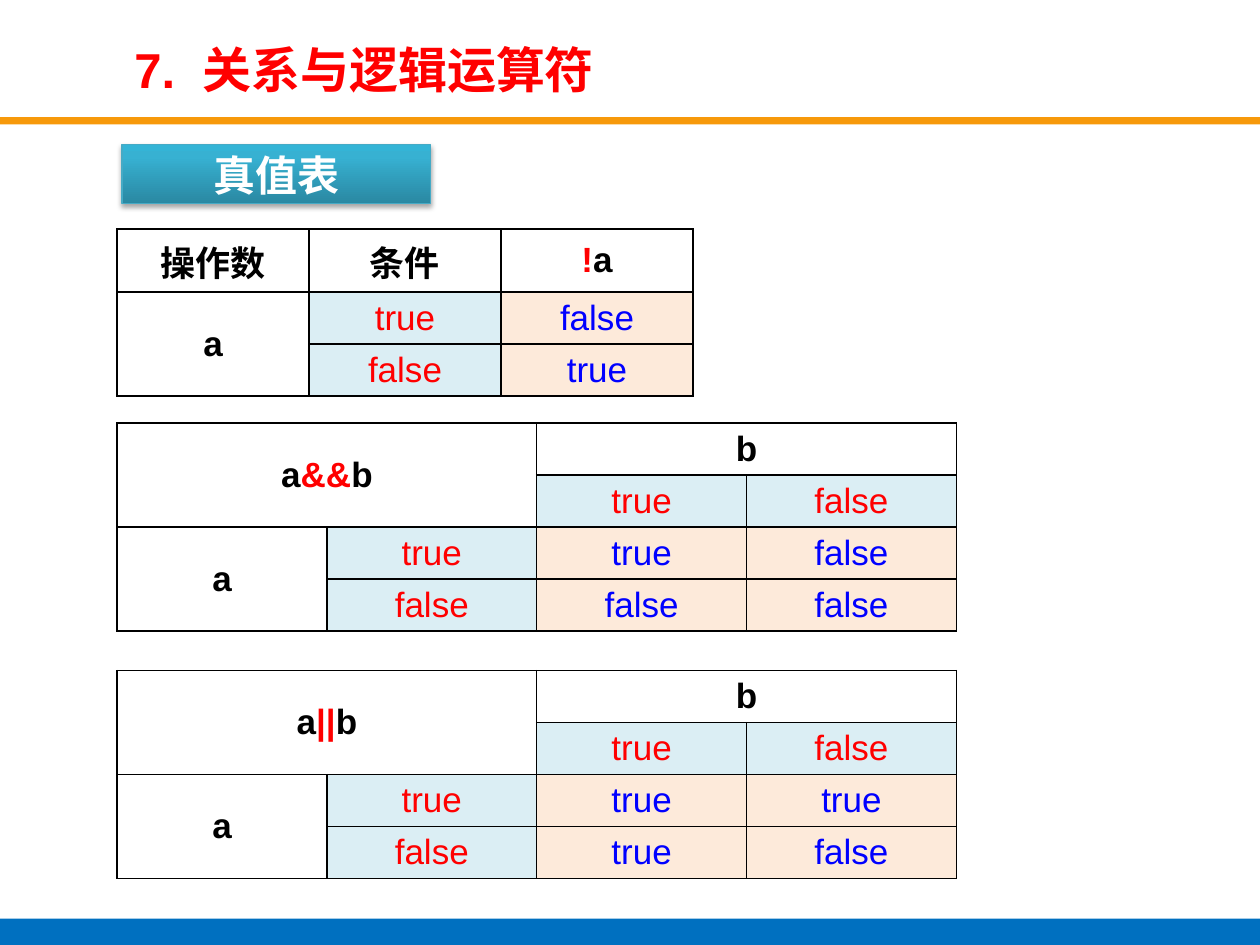
from lxml import etree
from pptx import Presentation
from pptx import util as u
from pptx.dml.color import RGBColor
from pptx.enum import shapes, text
from pptx.oxml import parse_xml
from pptx.oxml.ns import nsdecls, qn

CJK = "Noto Sans CJK SC"
BLACK, RED, BLUE, WHITE = "000000", "FF0000", "0000FF", "FFFFFF"


def rgb(value):
    return RGBColor.from_string(value)


def add_span(para, words, size, color, bold=True, face="Arial"):
    span = para.add_run()
    span.text = words
    span.font.size = u.Pt(size)
    span.font.bold = bold
    span.font.name = face
    span.font.color.rgb = rgb(color)
    etree.SubElement(span.font._element, qn("a:ea"), typeface=CJK)
    return span


deck = Presentation()
deck.slide_width, deck.slide_height = u.Cm(25.4), u.Cm(19.05)
page = deck.slides.add_slide(deck.slide_layouts[6])

for top, height, color in [(2.36, 0.15, "F7990A"), (18.52, 0.53, "0070C0")]:
    band = page.shapes.add_shape(
        shapes.MSO_SHAPE.RECTANGLE, 0, u.Cm(top), deck.slide_width, u.Cm(height))
    band.shadow.inherit = False
    band.fill.solid()
    band.fill.fore_color.rgb = rgb(color)
    band.line.fill.background()

title = page.shapes.add_textbox(u.Cm(2.46), u.Cm(0.69), u.Cm(17.42), u.Cm(1.4))
title.text_frame.word_wrap = True
title.text_frame.vertical_anchor = text.MSO_ANCHOR.MIDDLE
para = title.text_frame.paragraphs[0]
add_span(para, "7.", 28, RED)
gap = add_span(para, " ", 28, RED)
gap.font._element.set("spc", "780")
add_span(para, "关系与逻辑运算符", 28, RED)

truth_tables = [
    (4.62, [3.87] * 3, [1.27, 1.04, 1.04], 1,
     [["操作数", "条件", "! a"],
      ["a", "true", "false"],
      [None, "false", "true"]],
     [(1, 0, 2, 0)]),
]
for top, operator, results in [
    (8.53, "&&", [["true", "false"], ["false", "false"]]),
    (13.52, "||", [["true", "true"], ["true", "false"]]),
]:
    truth_tables.append(
        (top, [4.23] * 4, [1.04] * 4, 2,
         [[f"a {operator} b", None, "b", None],
          [None, None, "true", "false"],
          ["a", "true"] + results[0],
          [None, "false"] + results[1]],
         [(0, 0, 1, 1), (0, 2, 0, 3), (2, 0, 3, 0)]))

for top, widths, heights, first_result, rows, merges in truth_tables:
    frame = page.shapes.add_table(
        len(rows), len(widths), u.Cm(2.36), u.Cm(top),
        u.Cm(sum(widths)), u.Cm(sum(heights)))
    table = frame.table
    table.first_row = table.horz_banding = False
    for column, width in zip(table.columns, widths):
        column.width = u.Cm(width)
    for row, height in zip(table.rows, heights):
        row.height = u.Cm(height)
    for r, row in enumerate(rows):
        for c, words in enumerate(row):
            cell = table.cell(r, c)
            cell.margin_top = cell.margin_bottom = u.Cm(0.1)
            cell.vertical_anchor = text.MSO_ANCHOR.MIDDLE
            for side in ("L", "R", "T", "B"):
                cell._tc.get_or_add_tcPr().append(parse_xml(
                    f'<a:ln{side} {nsdecls("a")} w="12700"><a:solidFill>'
                    f'<a:srgbClr val="{BLACK}"/></a:solidFill></a:ln{side}>'))
            para = cell.text_frame.paragraphs[0]
            para.alignment = text.PP_ALIGN.CENTER
            if words in ("true", "false"):
                is_result = r >= first_result and c >= 2
                cell.fill.solid()
                cell.fill.fore_color.rgb = rgb("FDEADA" if is_result else "DBEEF4")
                add_span(para, words, 20, BLUE if is_result else RED, False)
            else:
                cell.fill.background()
                for part in (words or "").split():
                    color = RED if part in ("!", "&&", "||") else BLACK
                    face = CJK if part in ("操作数", "条件") else "Arial"
                    add_span(para, part, 20, color, face=face)
    for r1, c1, r2, c2 in merges:
        table.cell(r1, c1).merge(table.cell(r2, c2))

badge = page.shapes.add_shape(
    shapes.MSO_SHAPE.RECTANGLE, u.Cm(2.46), u.Cm(2.92), u.Cm(6.22), u.Cm(1.19))
badge.line.color.rgb = rgb("46AAC5")
badge.line.width = u.Pt(0.75)
badge.fill.gradient()
badge.fill.gradient_angle = 90
stops = badge._element.spPr.find(qn("a:gradFill")).find(qn("a:gsLst"))
for stop in list(stops):
    stops.remove(stop)
for position, color in [(0, "2A88A2"), (80, "37B1D2"), (100, "34B4D6")]:
    stop = etree.SubElement(stops, qn("a:gs"), pos=str(position * 1000))
    etree.SubElement(stop, qn("a:srgbClr"), val=color)
badge.shadow.inherit = False
badge._element.spPr.find(qn("a:effectLst")).append(parse_xml(
    f'<a:outerShdw {nsdecls("a")} blurRad="39370" dist="22860" dir="5400000" '
    f'rotWithShape="0"><a:srgbClr val="{BLACK}"><a:alpha val="35000"/>'
    '</a:srgbClr></a:outerShdw>'))
badge.text_frame.vertical_anchor = text.MSO_ANCHOR.MIDDLE
para = badge.text_frame.paragraphs[0]
para.alignment = text.PP_ALIGN.CENTER
add_span(para, "真值表", 24, WHITE, face=CJK)

deck.save("out.pptx")
